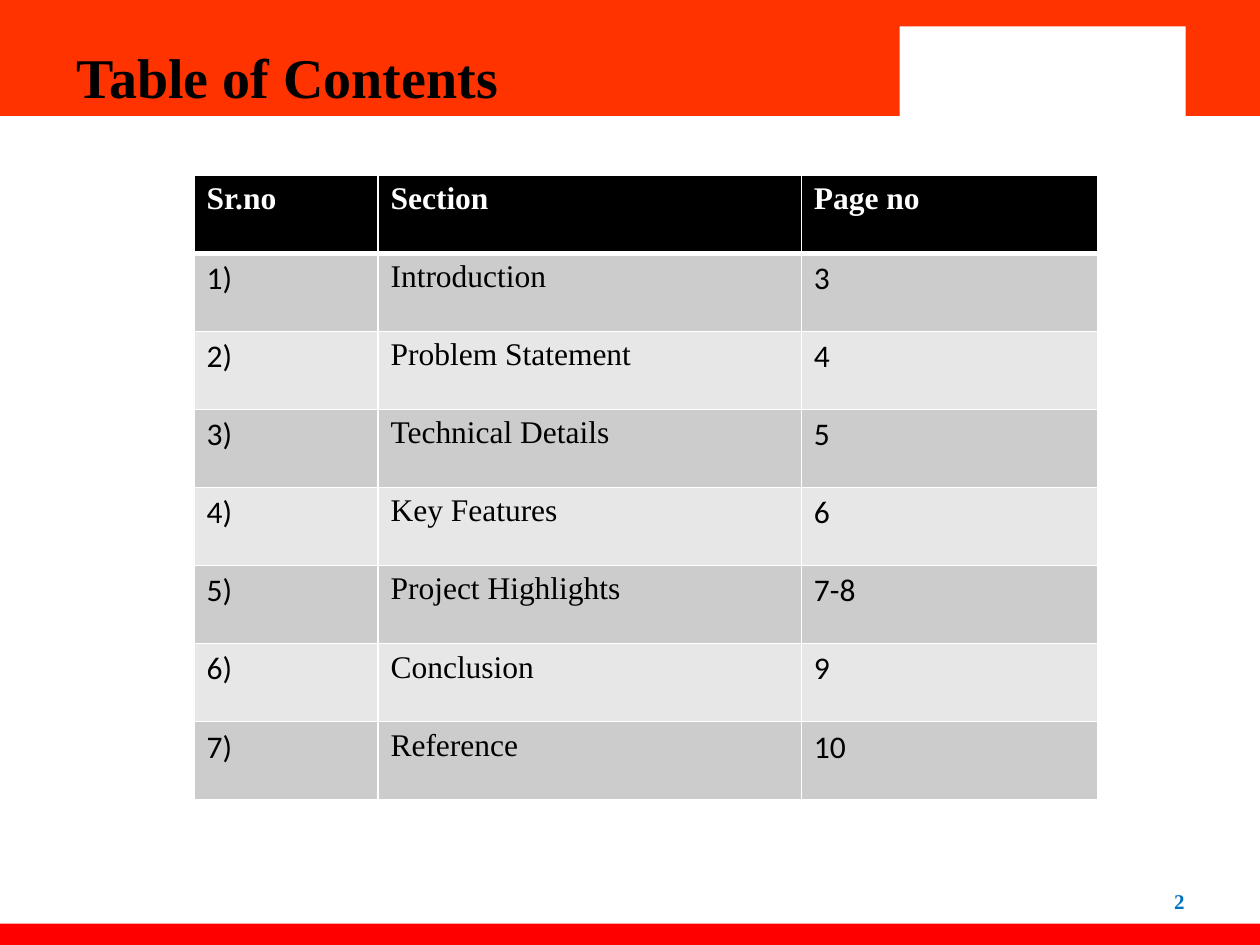
from lxml.etree import SubElement
from pptx import Presentation
from pptx.dml.color import RGBColor
from pptx.enum.shapes import MSO_SHAPE
from pptx.enum.text import MSO_ANCHOR, PP_ALIGN
from pptx.oxml.ns import qn
from pptx.util import Inches, Pt

HEADING = "Table of Contents"
PAGE_NUMBER = "2"
HEADER = ("Sr.no", "Section", "Page no")
SECTIONS = [
    ("Introduction", "3"),
    ("Problem Statement", "4"),
    ("Technical Details", "5"),
    ("Key Features", "6"),
    ("Project Highlights", "7-8"),
    ("Conclusion", "9"),
    ("Reference", "10"),
]
COLORS = {
    "banner": "FF3300",
    "footer": "FF0000",
    "white": "FFFFFF",
    "black": "000000",
    "odd": "CCCCCC",
    "even": "E7E7E7",
    "number": "0070C0",
}
SERIF, SANS = "Times New Roman", "Calibri"
BANDS = [
    ((0, 0, 10, 0.92), "banner"),
    ((0, 7.33, 10, 0.22), "footer"),
    ((6.72, 0, 3.28, 0.92), "banner"),
    ((7.14, 0.21, 2.27, 0.75), "white"),
]
COLUMN_WIDTHS = (1.46, 3.36, 2.35)
COLUMN_FONTS = (SANS, SERIF, SANS)
ROW_HEIGHT = 0.62


def color(name):
    return RGBColor.from_string(COLORS[name])


def place(shape, left, top, width, height):
    shape.left, shape.top = Inches(left), Inches(top)
    shape.width, shape.height = Inches(width), Inches(height)


def write(frame, text, size, font, color_name, bold=False, align=PP_ALIGN.LEFT):
    paragraph = frame.paragraphs[0]
    paragraph.alignment = align
    run = paragraph.add_run()
    run.text = text
    run.font.size = Pt(size)
    run.font.name = font
    run.font.bold = bold
    run.font.color.rgb = color(color_name)


def add_borders(cell, top, bottom):
    properties = cell._tc.get_or_add_tcPr()
    for side, points in (("L", 1), ("R", 1), ("T", top), ("B", bottom)):
        line = SubElement(properties, qn(f"a:ln{side}"), w=str(Pt(points)))
        fill = SubElement(line, qn("a:solidFill"))
        SubElement(fill, qn("a:srgbClr"), val=COLORS["white"])


def add_bands(slide):
    for box, color_name in BANDS:
        band = slide.shapes.add_shape(MSO_SHAPE.RECTANGLE, *map(Inches, box))
        band.shadow.inherit = False
        band.fill.solid()
        band.fill.fore_color.rgb = color(color_name)
        band.line.fill.background()


def add_heading(slide):
    heading = slide.shapes.title
    slide.shapes.element.append(heading.element)
    place(heading, 0.51, 0.29, 5.91, 0.64)
    heading.text_frame.vertical_anchor = MSO_ANCHOR.TOP
    write(heading.text_frame, HEADING, 32, SERIF, "black", bold=True)


def add_contents(slide):
    rows = [HEADER] + [(f"{i})", *section) for i, section in enumerate(SECTIONS, 1)]
    contents = slide.shapes.add_table(
        len(rows), len(HEADER), Inches(1.54), Inches(1.39),
        Inches(sum(COLUMN_WIDTHS)), Inches(ROW_HEIGHT * len(rows)),
    ).table
    for column, width in zip(contents.columns, COLUMN_WIDTHS):
        column.width = Inches(width)
    for r, row in enumerate(rows):
        contents.rows[r].height = Inches(ROW_HEIGHT)
        is_header = r == 0
        fill = "black" if is_header else "odd" if r % 2 else "even"
        for c, text in enumerate(row):
            cell = contents.cell(r, c)
            add_borders(cell, top=3 if r == 1 else 1, bottom=3 if is_header else 1)
            cell.fill.solid()
            cell.fill.fore_color.rgb = color(fill)
            write(
                cell.text_frame, text, 18,
                SERIF if is_header else COLUMN_FONTS[c],
                "white" if is_header else "black",
                bold=is_header,
            )


def add_page_number(slide):
    number = slide.shapes.add_textbox(*map(Inches, (7.17, 6.95, 2.33, 0.4)))
    number.text_frame.word_wrap = True
    number.text_frame.vertical_anchor = MSO_ANCHOR.MIDDLE
    write(number.text_frame, PAGE_NUMBER, 12, SERIF, "number", True, PP_ALIGN.RIGHT)


def main():
    deck = Presentation()
    deck.slide_width, deck.slide_height = Inches(10), Inches(7.5)
    slide = deck.slides.add_slide(deck.slide_layouts[5])
    add_bands(slide)
    add_heading(slide)
    add_contents(slide)
    add_page_number(slide)
    deck.save("out.pptx")


if __name__ == "__main__":
    main()
